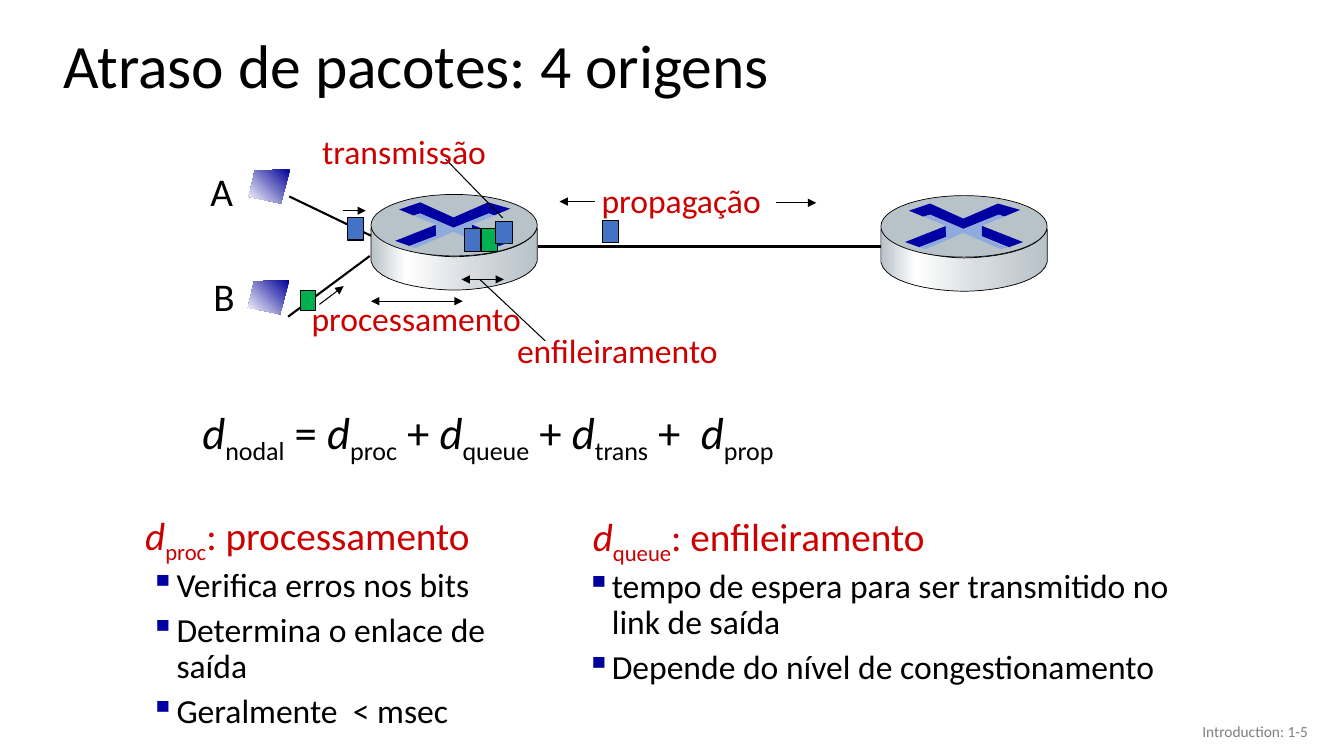
from dataclasses import dataclass

from lxml import etree
from pptx import Presentation
from pptx.dml.color import RGBColor
from pptx.enum import shapes, text
from pptx.oxml import ns
from pptx.util import Cm, Pt

BLACK = RGBColor(0x00, 0x00, 0x00)
GREY = RGBColor(0x80, 0x80, 0x80)
RED = RGBColor(0xCC, 0x00, 0x00)
BLUE = RGBColor(0x44, 0x72, 0xC4)
GREEN = RGBColor(0x00, 0xB0, 0x50)
NAVY = RGBColor(0x00, 0x00, 0xA3)
SCREEN = RGBColor(0x00, 0x00, 0x99)
PALE_BLUE = RGBColor(0x8F, 0xAA, 0xDC)
STEEL = RGBColor(0xB8, 0xC2, 0xC9)
SILVER = RGBColor(0xD6, 0xDC, 0xE0)
WHITE = RGBColor(0xFF, 0xFF, 0xFF)

METAL = [(0, STEEL), (21, WHITE), (60, SILVER), (100, STEEL)]
GLOW = [(0, SCREEN), (100, WHITE)]
Point = tuple[float, float]


@dataclass
class Span:
    text: str
    italic: bool = False
    lowered: bool = False


@dataclass
class Para:
    spans: list[Span]
    size: float = 24
    color: RGBColor = BLACK
    margin: float = 0
    indent: float = 0
    bullet: RGBColor | None = None
    spacing: float = 1
    align: text.PP_ALIGN = text.PP_ALIGN.LEFT


@dataclass
class Block:
    left: float
    top: float
    width: float
    height: float
    paras: list[Para]
    middle: bool = False
    wrap: bool = True


@dataclass
class Line:
    start: Point
    end: Point
    width: float = 0.75
    head: bool = False
    tail: bool = False


@dataclass
class Packet:
    left: float
    top: float
    color: RGBColor = BLUE
    width: float = 0.41
    height: float = 0.56


def delay(name: str) -> list[Span]:
    """The symbol d with a lowered name."""
    return [Span("d", italic=True), Span(name, lowered=True)]


def label(words: str, left: float, top: float, width: float, height: float = 1.27, **style) -> Block:
    return Block(left, top, width, height, [Para([Span(words)], **style)], wrap=False)


def item(words: str, margin: float, indent: float, color: RGBColor) -> Para:
    return Para([Span(words)], margin=margin, indent=indent, bullet=color, spacing=0.9)


def draw_text(page, block: Block) -> None:
    box = page.shapes.add_textbox(*map(Cm, (block.left, block.top, block.width, block.height)))
    frame = box.text_frame
    frame.word_wrap = block.wrap
    if not block.wrap:
        frame.auto_size = text.MSO_AUTO_SIZE.SHAPE_TO_FIT_TEXT
    if block.middle:
        frame.vertical_anchor = text.MSO_ANCHOR.MIDDLE
    for number, para in enumerate(block.paras):
        line = frame.add_paragraph() if number else frame.paragraphs[0]
        line.alignment = para.align
        line.line_spacing = para.spacing
        if number:
            line.space_before = Pt(6)
        props = line._p.get_or_add_pPr()
        props.set("marL", str(Cm(para.margin)))
        props.set("indent", str(Cm(para.indent)))
        if para.bullet:
            tint = etree.SubElement(props, ns.qn("a:buClr"))
            etree.SubElement(tint, ns.qn("a:srgbClr"), val=str(para.bullet))
            etree.SubElement(props, ns.qn("a:buChar"), char="▪")
        line.font.name = "Calibri"
        line.font.size = Pt(para.size)
        line.font.color.rgb = para.color
        for span in para.spans:
            run = line.add_run()
            run.text = span.text
            if span.italic:
                run.font.italic = True
            if span.lowered:
                run._r.get_or_add_rPr().set("baseline", "-25000")


def draw_line(page, line: Line) -> None:
    ends = map(Cm, (*line.start, *line.end))
    connector = page.shapes.add_connector(shapes.MSO_CONNECTOR.STRAIGHT, *ends)
    connector.line.color.rgb = BLACK
    connector.line.width = Pt(line.width)
    stroke = connector.line._get_or_add_ln()
    for tag, shown in (("a:headEnd", line.head), ("a:tailEnd", line.tail)):
        if shown:
            etree.SubElement(stroke, ns.qn(tag), type="triangle")
    etree.SubElement(connector._element.spPr, ns.qn("a:effectLst"))


def paint(shape, color: RGBColor | None = None, outline: float = 0) -> None:
    shape.shadow.inherit = False
    if color is not None:
        shape.fill.solid()
        shape.fill.fore_color.rgb = color
    if outline:
        shape.line.color.rgb = BLACK
        shape.line.width = Pt(outline)
    else:
        shape.line.fill.background()


def paint_gradient(shape, stops: list[tuple[int, RGBColor]], angle: int) -> None:
    """Angle in degrees, clockwise."""
    shape.fill.gradient()
    gradient = shape._element.spPr.find(ns.qn("a:gradFill"))
    stop_list = gradient.find(ns.qn("a:gsLst"))
    for old in list(stop_list):
        stop_list.remove(old)
    for percent, color in stops:
        stop = etree.SubElement(stop_list, ns.qn("a:gs"), pos=str(percent * 1000))
        etree.SubElement(stop, ns.qn("a:srgbClr"), val=str(color))
    gradient.find(ns.qn("a:lin")).set("ang", str(angle * 60000))


def outline_shape(parent, left: float, top: float, points: list[Point]):
    corners = [(Cm(left + x), Cm(top + y)) for x, y in points]
    builder = parent.shapes.build_freeform(*corners[0])
    builder.add_line_segments(corners[1:], close=True)
    return builder.convert_to_shape()


def curve(a: Point, b: Point, c: Point, d: Point, steps: int = 12) -> list[Point]:
    """Points along a cubic Bezier curve, both ends included."""
    parts = [step / steps for step in range(steps + 1)]
    return [tuple((1 - t) ** 3 * p + 3 * (1 - t) ** 2 * t * q + 3 * (1 - t) * t ** 2 * r + t ** 3 * s
                  for p, q, r, s in zip(a, b, c, d)) for t in parts]


ROUTER_BODY = (curve((4.19, 1.68), (4.06, 2.21), (2.82, 2.41), (2.11, 2.41))
               + curve((2.11, 2.41), (1.42, 2.41), (0.13, 2.24), (0, 1.68))
               + curve((0, 0.84), (0.2, 1.32), (1.4, 1.57), (2.08, 1.57))
               + curve((2.08, 1.57), (2.79, 1.57), (4.01, 1.4), (4.19, 0.84)))
ROUTER_MARKS = [
    (NAVY, [(2.95, 0.2), (3.51, 0.36), (3.1, 0.53), (2.97, 0.48), (2.08, 0.84), (1.24, 0.48),
            (1.07, 0.53), (0.71, 0.38), (1.24, 0.2), (2.08, 0.58)]),
    (NAVY, [(2.54, 0.76), (3.58, 1.17), (3.23, 1.3), (2.54, 1.02)]),
    (NAVY, [(1.65, 0.76), (1.65, 1.04), (0.97, 1.3), (0.61, 1.17)]),
    (PALE_BLUE, [(1.07, 0.53), (1.24, 0.48), (2.08, 0.84), (2.97, 0.48), (3.12, 0.53), (2.54, 0.76),
                 (2.54, 1.04), (3.2, 1.3), (3.02, 1.35), (2.08, 0.94), (1.12, 1.35), (0.97, 1.3),
                 (1.65, 1.04), (1.63, 0.76)]),
]
WORKSTATION = [(1.04, 0), (0.15, 0.03), (0, 0.69), (0.81, 0.86)]


def draw_router(page, left: float, top: float) -> None:
    group = page.shapes.add_group_shape()
    body = outline_shape(group, left, top, ROUTER_BODY)
    paint(body, outline=0.5)
    paint_gradient(body, METAL, 0)
    lid = group.shapes.add_shape(shapes.MSO_SHAPE.OVAL, *map(Cm, (left, top, 4.19, 1.55)))
    paint(lid, STEEL, 0.5)
    for color, points in ROUTER_MARKS:
        paint(outline_shape(group, left, top, points), color)


LINKS = [Line((7.29, 4.95), (9.35, 5.94), 1.5), Line((7.26, 7.98), (9.32, 6.45), 1.5),
         Line((13.56, 6.22), (22.96, 6.22), 2)]
PACKETS = [Packet(15.19, 5.56), Packet(11.71, 5.77), Packet(12.14, 5.77, GREEN), Packet(12.5, 5.59),
           Packet(8.76, 5.49), Packet(7.57, 7.32, GREEN, 0.38, 0.51)]
ARROWS = [Line((19.56, 5.11), (20.57, 5.11), tail=True), Line((14.99, 5.08), (14.1, 5.08), tail=True),
          Line((11.66, 7.59), (9.35, 7.59), head=True, tail=True),
          Line((12.7, 7.04), (11.63, 7.04), head=True, tail=True),
          Line((8.64, 5.31), (9.22, 5.31), tail=True), Line((8.05, 7.67), (8.66, 7.21), tail=True),
          Line((13.74, 8.59), (12.09, 7.04)), Line((11.23, 4.01), (12.67, 5.49))]
FORMULA = [*delay("nodal"), Span(" = "), *delay("proc"), Span(" + "), *delay("queue"), Span(" + "),
           *delay("trans"), Span(" +  "), *delay("prop")]
TEXTS = [
    Block(1.35, 0.48, 29.21, 2.49, [Para([Span("Atraso de pacotes: 4 origens")], 44, spacing=0.9)], middle=True),
    Block(25.6, 17.91, 7.62, 1.02,
          [Para([Span("Introduction: 1-5")], 11, GREY, align=text.PP_ALIGN.RIGHT)], middle=True),
    label("propagação", 14.91, 4.42, 4.57, color=RED),
    label("processamento", 7.57, 7.59, 5.84, 1.09, color=RED, spacing=0.8, align=text.PP_ALIGN.CENTER),
    label("enfileiramento", 12.78, 8.2, 5.64, color=RED),
    label("transmissão", 7.87, 3.18, 4.67, color=RED),
    label("A", 5.05, 4.09, 1.09, 1.45, size=28),
    label("B", 5.13, 6.73, 1.07, 1.45, size=28),
    Block(4.85, 10.16, 17.15, 1.55, [Para(FORMULA, 32, margin=0.79, indent=-0.79, spacing=0.85)]),
    Block(3.23, 12.78, 10.59, 5.11, [
        Para([*delay("proc"), Span(": processamento")], 28, RED, 0.99, -0.81, spacing=0.9),
        *(item(words, 0.97, -0.66, NAVY) for words in (
            "Verifica erros nos bits", "Determina o enlace de saída", "Geralmente  < msec"))]),
    Block(14.53, 12.8, 16.54, 3.86, [
        Para([*delay("queue"), Span(": enfileiramento")], 28, RED, 0.16, spacing=0.9),
        *(item(words, 0.64, -0.64, SCREEN) for words in (
            "tempo de espera para ser transmitido no link de saída",
            "Depende do nível de congestionamento"))]),
]


def main() -> None:
    deck = Presentation()
    deck.slide_width, deck.slide_height = Cm(33.87), Cm(19.05)
    page = deck.slides.add_slide(deck.slide_layouts[6])
    draw_router(page, 9.35, 4.9)
    for link in LINKS:
        draw_line(page, link)
    draw_router(page, 22.2, 4.93)
    for left, top in ((6.27, 4.27), (6.25, 7.06)):
        screen = outline_shape(page, left, top, WORKSTATION)
        paint(screen)
        paint_gradient(screen, GLOW, 135)
    for packet in PACKETS:
        place = map(Cm, (packet.left, packet.top, packet.width, packet.height))
        paint(page.shapes.add_shape(shapes.MSO_SHAPE.RECTANGLE, *place), packet.color, 0.75)
    for arrow in ARROWS:
        draw_line(page, arrow)
    for block in TEXTS:
        draw_text(page, block)
    deck.save("out.pptx")


if __name__ == "__main__":
    main()
